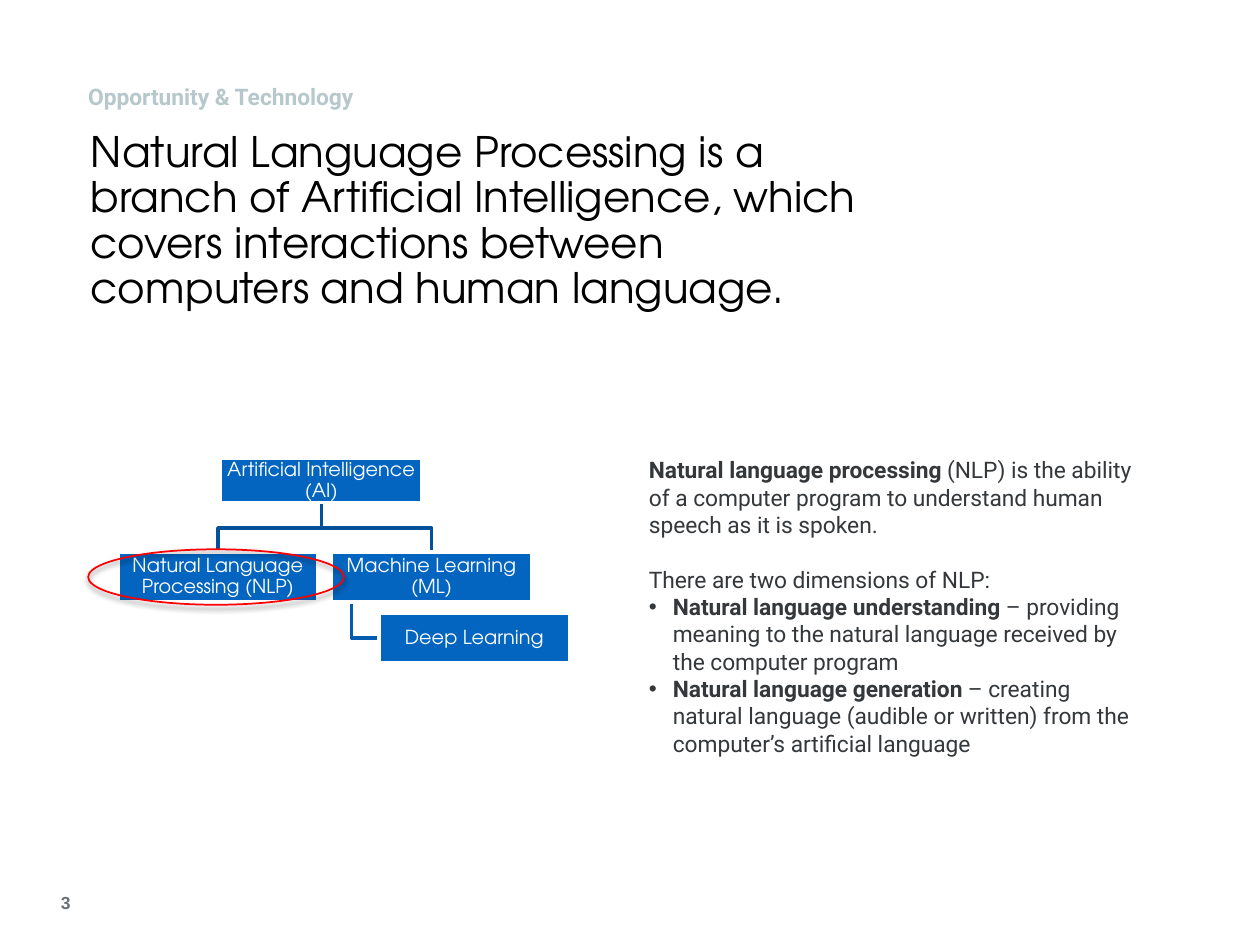
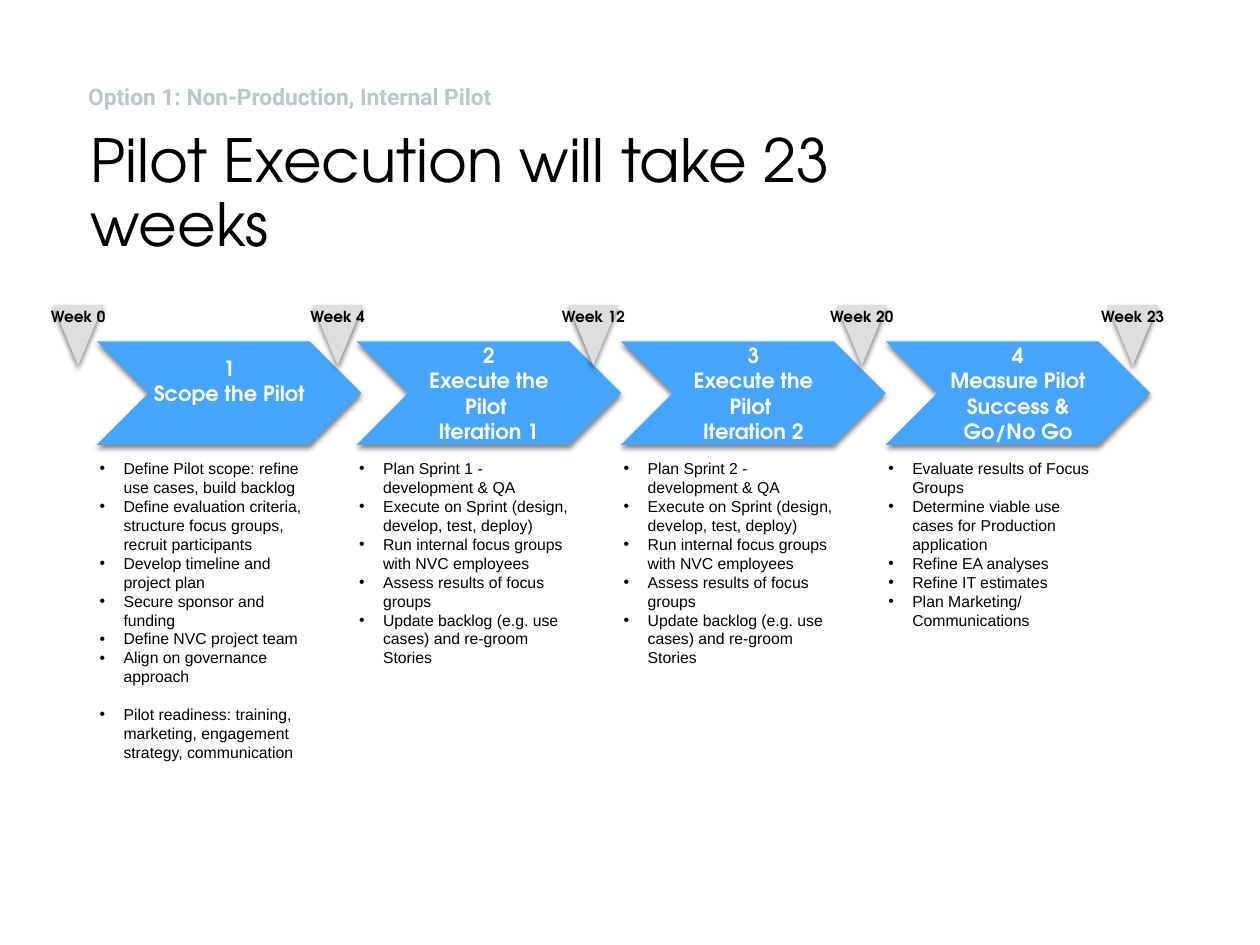
from lxml.etree import SubElement as Sub
from pptx import Presentation
from pptx.dml.color import RGBColor
from pptx.enum.shapes import MSO_SHAPE as Kind
from pptx.enum.text import MSO_ANCHOR as Anchor, MSO_AUTO_SIZE as Fit, PP_ALIGN as Align
from pptx.oxml.ns import qn
from pptx.util import Inches, Pt

# Shared style
BLACK = RGBColor(0x00, 0x00, 0x00)
WHITE = RGBColor(0xFF, 0xFF, 0xFF)
MIST = RGBColor(0xB6, 0xC8, 0xCB)
GREY = RGBColor(0x68, 0x6F, 0x76)
INK = RGBColor(0x34, 0x38, 0x3B)
BLUE = RGBColor(0x03, 0x65, 0xC0)
NAVY = RGBColor(0x02, 0x51, 0x9A)
STEEL = RGBColor(0x03, 0x5C, 0xAE)
RED = RGBColor(0xFF, 0x00, 0x00)
SKY = RGBColor(0x45, 0xA4, 0xFC)
SILVER = RGBColor(0xDC, 0xDE, 0xE0)
HEAD, BODY, PLAIN = "TeX Gyre Adventor", "Roboto", "Arial"

# Content: language slide
TOPIC = "Opportunity & Technology"
CLAIM = ("Natural Language Processing is a branch of Artificial Intelligence, "
         "which covers interactions between computers and human language.")
NOTES = [
    dict(lead="Natural language processing ",
         text="(NLP) is the ability of a computer program to understand human "
              "speech as it is spoken."),
    dict(text="There are two dimensions of NLP:", gap=15.5),
    dict(lead="Natural language understanding ", bullet=True,
         text="– providing meaning to the natural language received by the "
              "computer program"),
    dict(lead="Natural language generation ", bullet=True,
         text="– creating natural language (audible or written) from the "
              "computer’s artificial language"),
]
NODES = {  # left, top, width, height
    "Artificial Intelligence (AI)": (1.75, 3.64, 1.6, 0.35),
    "Natural Language Processing (NLP)": (0.94, 4.38, 1.58, 0.4),
    "Machine Learning (ML)": (2.63, 4.38, 1.59, 0.4),
    "Deep Learning": (3.01, 4.87, 1.51, 0.39),
}

# Content: pilot slide
OPTION = "Option 1: Non-Production, Internal Pilot"
PLAN = "Pilot Execution will take 23 weeks"
WEEKS = [(0, 0.42), (4, 2.48), (12, 4.51), (20, 6.64), (23, 8.79)]


def sprint(num):
    return [
        f"Plan Sprint {num} - development & QA",
        "Execute on Sprint (design, develop, test, deploy)",
        "Run internal focus groups with NVC employees",
        "Assess results of focus groups",
        "Update backlog (e.g. use cases) and re-groom Stories",
    ]


STEPS = [  # left, heading lines, tasks
    (0.77, ["Scope the Pilot"], [
        "Define Pilot scope: refine use cases, build backlog",
        "Define evaluation criteria, structure focus groups, recruit participants",
        "Develop timeline and project plan",
        "Secure sponsor and funding",
        "Define NVC project team",
        "Align on governance approach",
        dict(text="Pilot readiness: training, marketing, engagement strategy, "
                  "communication", gap=10.8),
    ]),
    (2.83, ["Execute the Pilot ", "Iteration 1"], sprint(1)),
    (4.93, ["Execute the Pilot ", "Iteration 2"], sprint(2)),
    (7.03, ["Measure Pilot Success & Go/No Go"], [
        "Evaluate results of Focus Groups",
        "Determine viable use cases for Production application",
        "Refine EA analyses",
        "Refine IT estimates",
        "Plan Marketing/ Communications",
    ]),
]


def write(shape, paras, size=13, font=HEAD, color=BLACK, bold=False, align=Align.LEFT,
          anchor=Anchor.TOP, inset=0.02, base=None, space=None, bullet=False):
    """Fill a shape with paragraphs, each a string or a dict."""
    frame = shape.text_frame
    frame.word_wrap, frame.auto_size = True, Fit.NONE
    frame.vertical_anchor = anchor
    frame.margin_left = frame.margin_right = frame.margin_top = Inches(inset)
    frame.margin_bottom = Inches(inset if base is None else base)
    for i, item in enumerate(paras):
        if isinstance(item, str):
            item = dict(text=item)
        para = frame.paragraphs[0] if i == 0 else frame.add_paragraph()
        para.alignment, para.line_spacing = align, space
        para.space_before = Pt(item.get("gap", 0))
        if item.get("bullet", bullet):
            props = para._p.get_or_add_pPr()
            props.set("marL", str(Inches(0.19)))
            props.set("indent", str(-Inches(0.19)))
            Sub(props, qn("a:buFont"), typeface="Arial")
            Sub(props, qn("a:buChar"), char="•")
        for words, strong in ((item.get("lead"), True), (item["text"], bold)):
            if words:
                run = para.add_run()
                run.text = words
                run.font.size, run.font.name = Pt(size), font
                run.font.bold, run.font.color.rgb = strong, color


def label(slide, box, paras, **fmt):
    write(slide.shapes.add_textbox(*map(Inches, box)), paras, **fmt)


def paint(shape, fill=None, line=None, width=1, shade=False):
    shape.shadow.inherit = False
    if fill is None:
        shape.fill.background()
    else:
        shape.fill.solid()
        shape.fill.fore_color.rgb = fill
    if line is None:
        shape.line.fill.background()
    else:
        shape.line.color.rgb, shape.line.width = line, Pt(width)
    if shade:
        drop = Sub(shape._element.spPr.find(qn("a:effectLst")), qn("a:outerShdw"),
                   blurRad=str(Pt(3)), dist=str(Pt(2)), dir="5400000", rotWithShape="0")
        tint = Sub(drop, qn("a:srgbClr"), val=str(BLACK))
        Sub(tint, qn("a:alpha"), val="50000")


def draw(slide, kind, box, **style):
    shape = slide.shapes.add_shape(kind, *map(Inches, box))
    paint(shape, **style)
    return shape


def branch(slide, color, *points):
    spots = [(Inches(x), Inches(y)) for x, y in points]
    pen = slide.shapes.build_freeform(*spots[0])
    pen.add_line_segments(spots[1:], close=False)
    paint(pen.convert_to_shape(), line=color, width=2)


def start(deck, topic, title, size):
    """Add a slide with its topic line and title."""
    slide = deck.slides.add_slide(deck.slide_layouts[5])
    head = slide.shapes.title
    head.left, head.top, head.width, head.height = map(Inches, (0.7, 1.02, 6.14, 1.56))
    write(head, [title], size=size, space=0.9)
    label(slide, (0.7, 0.53, 5, 0.37), [topic], font=BODY, color=MIST,
          bold=True, inset=0, space=1.6)
    return slide


def language(deck):
    slide = start(deck, TOPIC, CLAIM, 24)
    label(slide, (0.22, 7.04, 0.38, 0.2), ["3"], size=10, font=PLAIN, color=GREY,
          bold=True, align=Align.RIGHT, inset=0.04)
    label(slide, (5.15, 3.62, 3.88, 2.45), NOTES, font=BODY, color=INK, inset=0)

    # Tree branches, behind the boxes
    root, left, right, leaf = NODES.values()
    mid, foot = root[0] + root[2] / 2, root[1] + root[3]
    for box in (right, left):
        x = box[0] + box[2] / 2
        branch(slide, NAVY, (mid, foot), (mid, 4.19), (x, 4.19), (x, box[1]))
    stem, level = right[0] + 0.16, leaf[1] + leaf[3] / 2
    branch(slide, STEEL, (stem, right[1] + right[3]), (stem, level), (leaf[0], level))

    # Tree boxes and the highlight
    for name, box in NODES.items():
        node = draw(slide, Kind.RECTANGLE, box, fill=BLUE, line=WHITE, width=2)
        write(node, [name], size=11, color=WHITE, align=Align.CENTER,
              anchor=Anchor.MIDDLE, inset=0.01, space=0.9)
    draw(slide, Kind.OVAL, (0.7, 4.36, 2.03, 0.44), line=RED, shade=True)


def pilot(deck):
    slide = start(deck, OPTION, PLAN, 34)

    # Steps with their tasks
    for num, (x, lines, tasks) in enumerate(STEPS, 1):
        step = draw(slide, Kind.CHEVRON, (x, 2.71, 2.1, 0.82), fill=SKY, shade=True)
        write(step, [str(num), *lines], size=12, color=WHITE, bold=True,
              align=Align.CENTER, anchor=Anchor.MIDDLE, base=0.22 if num == 1 else 0.02)
        label(slide, (x, 3.62, 1.71, 2.79), tasks, size=9, font=PLAIN, bullet=True)

    # Week markers
    for week, x in WEEKS:
        mark = draw(slide, Kind.ISOSCELES_TRIANGLE, (x, 2.42, 0.4, 0.48),
                    fill=SILVER, shade=True)
        mark.rotation = 180
        label(slide, (x - 0.19, 2.45, 0.78, 0.17), [f"Week {week}"], size=8.7,
              bold=True, align=Align.CENTER, space=0.8)


def main():
    deck = Presentation()
    deck.slide_width, deck.slide_height = Inches(10), Inches(7.5)
    language(deck)
    pilot(deck)
    deck.save("out.pptx")


if __name__ == "__main__":
    main()
